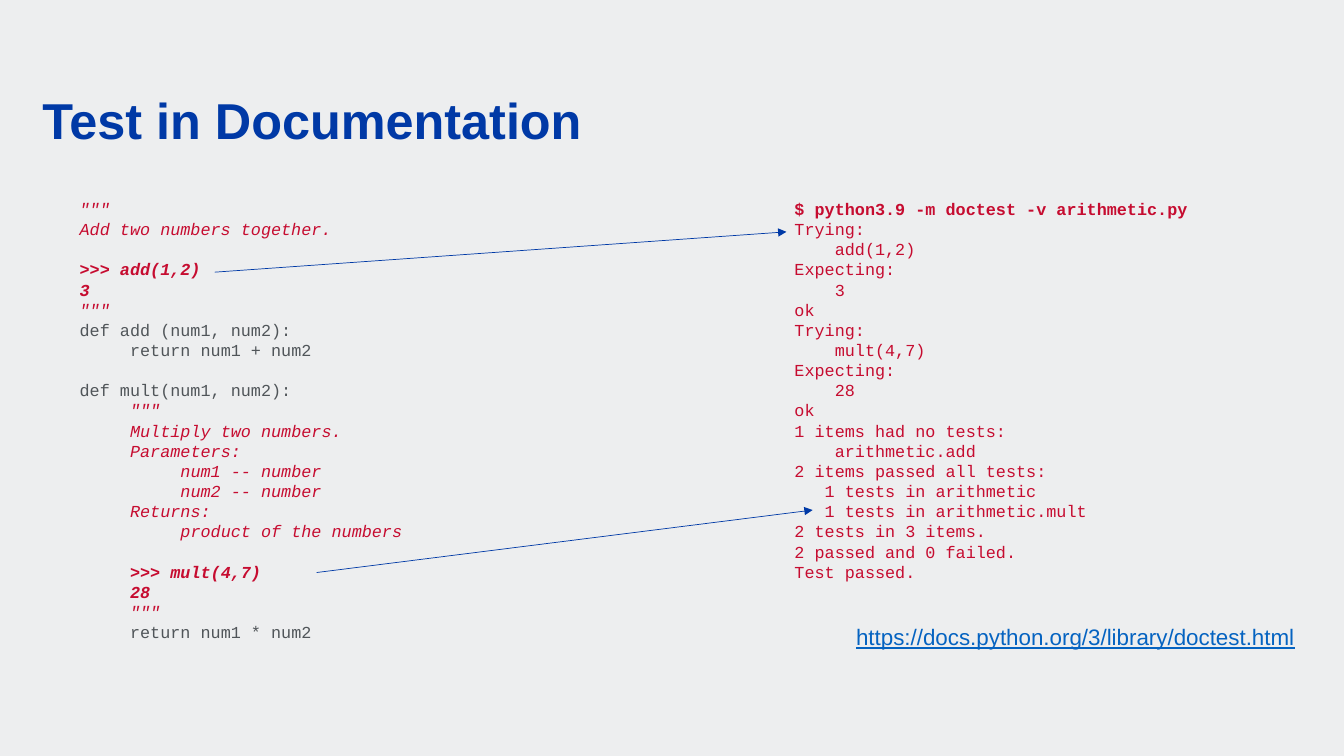
from lxml import etree
from pptx import Presentation
from pptx import util as u
from pptx.dml import color
from pptx.enum import shapes, text
from pptx.oxml import ns

BLUE, RED, GREY, LINK = "0039A6", "C60C30", "505559", "0563C1"
MONO = "Courier New"
LINE = u.Pt(14.4)

DOC = {"hue": RED, "slant": True}
TEST = {"hue": RED, "slant": True, "bold": True}
CODE = {"hue": GREY}
SHELL = {"hue": RED, "bold": True}
OUT = {"hue": RED}

SOURCE = [
    (DOC, '"""\nAdd two numbers together.\n'),
    (TEST, ">>> add(1,2)\n3"),
    (DOC, '"""'),
    (CODE, "def add (num1, num2):\n\treturn num1 + num2\n\ndef mult(num1, num2):"),
    (DOC, '\t"""\n\tMultiply two numbers.\n\tParameters:\n\t\tnum1 -- number\n'
          "\t\tnum2 -- number\n\tReturns:\n\t\tproduct of the numbers\n"),
    (TEST, "\t>>> mult(4,7)\n\t28"),
    (DOC, '\t"""'),
    (CODE, "\treturn num1 * num2"),
]

RESULT = [
    (SHELL, "$ python3.9 -m doctest -v arithmetic.py"),
    (OUT, """Trying:
    add(1,2)
Expecting:
    3
ok
Trying:
    mult(4,7)
Expecting:
    28
ok
1 items had no tests:
    arithmetic.add
2 items passed all tests:
   1 tests in arithmetic
   1 tests in arithmetic.mult
2 tests in 3 items.
2 passed and 0 failed.
Test passed."""),
]


def rgb(code):
    return color.RGBColor.from_string(code)


def place(shape, left, top, width, height):
    shape.left, shape.top = u.Inches(left), u.Inches(top)
    shape.width, shape.height = u.Inches(width), u.Inches(height)
    frame = shape.text_frame
    frame.margin_left = frame.margin_right = 0
    frame.margin_top = frame.margin_bottom = 0
    frame.word_wrap = True
    frame.auto_size = text.MSO_AUTO_SIZE.NONE
    return frame


def write(para, words, hue, size=12, face=MONO, bold=False, slant=False,
          under=False, align=text.PP_ALIGN.LEFT):
    para.alignment = align
    run = para.add_run()
    run.text = words
    font = run.font
    font.name, font.size = face, u.Pt(size)
    font.bold, font.italic, font.underline = bold, slant, under
    font.color.rgb = rgb(hue)


def listing(holder, box, parts):
    frame = place(holder, *box)
    frame.vertical_anchor = text.MSO_ANCHOR.TOP
    rows = [(row, style) for style, block in parts for row in block.split("\n")]
    para, gap = frame.paragraphs[0], 0
    for count, (row, style) in enumerate(rows):
        if not row:
            gap = LINE
            continue
        if count:
            para = frame.add_paragraph()
        props = para._p.get_or_add_pPr()
        props.set("marL", "0")
        props.set("indent", "0")
        etree.SubElement(props, ns.qn("a:buNone"))
        para.line_spacing = LINE
        para.space_before, para.space_after = gap, 0
        write(para, row, **style)
        gap = 0


def arrow(slide, *ends):
    line = slide.shapes.add_connector(
        shapes.MSO_CONNECTOR.STRAIGHT, *[u.Inches(end) for end in ends])
    line.line.color.rgb = rgb(BLUE)
    line.line.width = u.Pt(0.5)
    tip = etree.SubElement(line.line._get_or_add_ln(), ns.qn("a:tailEnd"))
    tip.set("type", "triangle")
    etree.SubElement(line._element.spPr, ns.qn("a:effectLst"))


def main():
    deck = Presentation()
    deck.slide_width, deck.slide_height = u.Inches(13.33), u.Inches(7.5)
    slide = deck.slides.add_slide(deck.slide_layouts[3])
    fill = slide.background.fill
    fill.solid()
    fill.fore_color.rgb = rgb("EDEEEF")

    title, left, right = slide.placeholders
    frame = place(title, 0.42, 0.94, 12.5, 0.55)
    frame.vertical_anchor = text.MSO_ANCHOR.BOTTOM
    head = frame.paragraphs[0]
    head.line_spacing = 0.9
    write(head, "Test in Documentation", BLUE, size=36, face="Arial", bold=True)

    listing(left, (0.79, 1.97, 4.9, 4.53), SOURCE)
    listing(right, (7.88, 1.97, 5.04, 4.53), RESULT)

    link = slide.shapes.add_textbox(0, 0, 0, 0)
    frame = place(link, 8.33, 6.13, 4.51, 0.37)
    frame.vertical_anchor = text.MSO_ANCHOR.MIDDLE
    write(frame.paragraphs[0], "https://docs.python.org/3/library/doctest.html",
          LINK, size=16, face="Arial", under=True, align=text.PP_ALIGN.RIGHT)

    arrow(slide, 2.13, 2.7, 7.8, 2.3)
    arrow(slide, 3.14, 5.68, 8.06, 5.06)
    deck.save("out.pptx")


if __name__ == "__main__":
    main()
